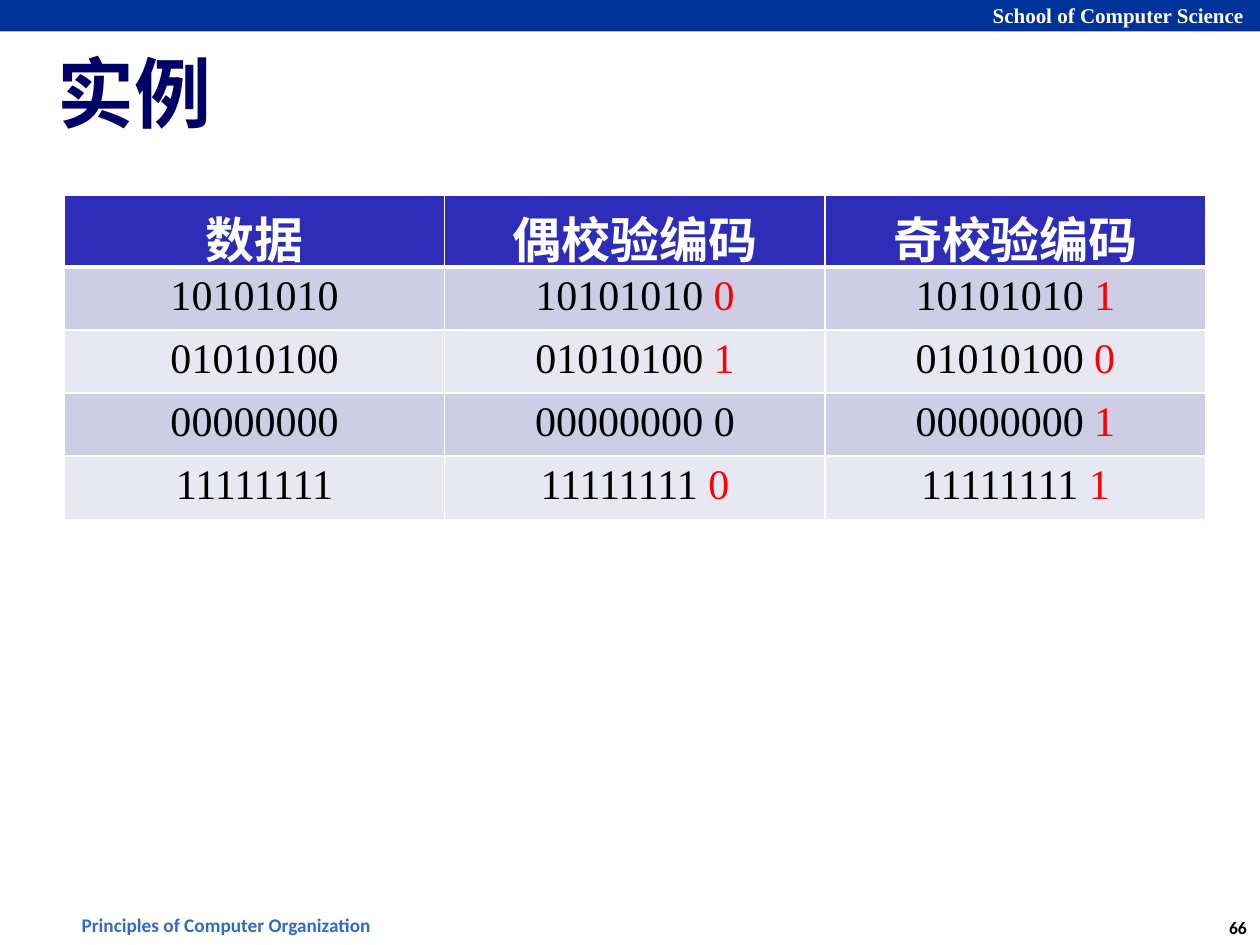
"""Build a slide that compares even and odd parity codes in a table."""
from dataclasses import dataclass

from lxml.etree import SubElement as Sub
from pptx import Presentation
from pptx.dml.color import RGBColor as Rgb
from pptx.enum.shapes import MSO_SHAPE as Shape
from pptx.enum.text import MSO_ANCHOR as Anchor, MSO_AUTO_SIZE as Fit, PP_ALIGN as Align
from pptx.oxml.ns import qn
from pptx.util import Inches, Pt


@dataclass(frozen=True)
class Theme:
    serif: str = "Times New Roman"
    sans: str = "Calibri"
    white: str = "FFFFFF"
    black: str = "000000"
    red: str = "FF0000"
    navy: str = "000066"
    bar: str = "003399"
    foot: str = "326AC6"
    head: str = "2D2DB9"
    bands: tuple = ("CDCDE6", "E8E8F3")
    title: int = 44
    top: int = 28
    body: int = 24
    brand: int = 12
    note: int = 11
    page: int = 10


def add_run(para, text, size, color, bold=True, face=Theme.serif):
    run = para.add_run()
    run.text = text
    font = run.font
    font.name, font.size, font.bold = face, Pt(size), bold
    font.color.rgb = Rgb.from_string(color)


def add_edge(cell, side, width):
    line = Sub(cell._tc.get_or_add_tcPr(), qn("a:ln" + side), w=str(Pt(width)))
    Sub(Sub(line, qn("a:solidFill")), qn("a:srgbClr"), val=Theme.white)


look = Theme()
deck = Presentation()
deck.slide_width, deck.slide_height = Inches(10), Inches(7.5)
wide, high = deck.slide_width, deck.slide_height
col, row = wide // 100, high // 75
slide = deck.slides.add_slide(deck.slide_layouts[5])

bar = slide.shapes.add_shape(Shape.RECTANGLE, 0, 0, wide, int(2.5 * row))
bar.shadow.inherit = False
bar.fill.solid()
bar.fill.fore_color.rgb = Rgb.from_string(look.bar)
bar.line.fill.background()

labels = [
    ("66", 96.4, 72.3, 3.7, 2.7, look.page, look.black, look.sans, Align.CENTER),
    ("School of Computer Science", 77.8, -0.3, 22.1, 3,
     look.brand, look.white, look.serif, Align.LEFT),
    ("Principles of Computer Organization", 5.5, 72, 25.6, 2.9,
     look.note, look.foot, look.sans, Align.LEFT),
]
for text, x, y, w, h, size, color, face, align in labels:
    box = slide.shapes.add_textbox(int(x * col), int(y * row), int(w * col), int(h * row))
    frame = box.text_frame
    frame.word_wrap = False
    para = frame.paragraphs[0]
    para.alignment = align
    add_run(para, text, size, color, face=face)

title = slide.shapes.title
title.left, title.top = int(4.2 * col), int(2.8 * row)
title.width, title.height = int(91.7 * col), int(8.9 * row)
frame = title.text_frame
frame.auto_size = Fit.NONE
frame.vertical_anchor = Anchor.MIDDLE
frame.margin_left = frame.margin_right = Inches(0.04)
frame.margin_top = frame.margin_bottom = Inches(0.04)
para = frame.paragraphs[0]
para.alignment = Align.LEFT
add_run(para, "实例", look.title, look.navy)

heads = ["数据", "偶校验编码", "奇校验编码"]
codes = [("10101010", "0", "1"), ("01010100", "1", "0"),
         ("00000000", "0", "1"), ("11111111", "0", "1")]
grid = slide.shapes.add_table(len(codes) + 1, len(heads), int(5.1 * col), int(15.5 * row),
                              int(90.6 * col), int(25.7 * row)).table
for line in grid.rows:
    line.height = 5 * row
grid.rows[0].height = int(5.7 * row)

for r, line in enumerate(grid.rows):
    for c, cell in enumerate(line.cells):
        for side, width in (("L", 1), ("R", 1), ("T", 3 if r == 1 else 1),
                            ("B", 3 if r == 0 else 1)):
            add_edge(cell, side, width)
        cell.fill.solid()
        cell.fill.fore_color.rgb = Rgb.from_string(look.bands[(r - 1) % 2] if r else look.head)
        para = cell.text_frame.paragraphs[0]
        para.alignment = Align.CENTER
        if r == 0:
            add_run(para, heads[c], look.top, look.white)
            continue
        data = codes[r - 1][0]
        add_run(para, data + " " if c else data, look.body, look.black, False)
        if c:
            plain = data == "00000000" and c == 1
            add_run(para, codes[r - 1][c], look.body, look.black if plain else look.red, False)

deck.save("out.pptx")
